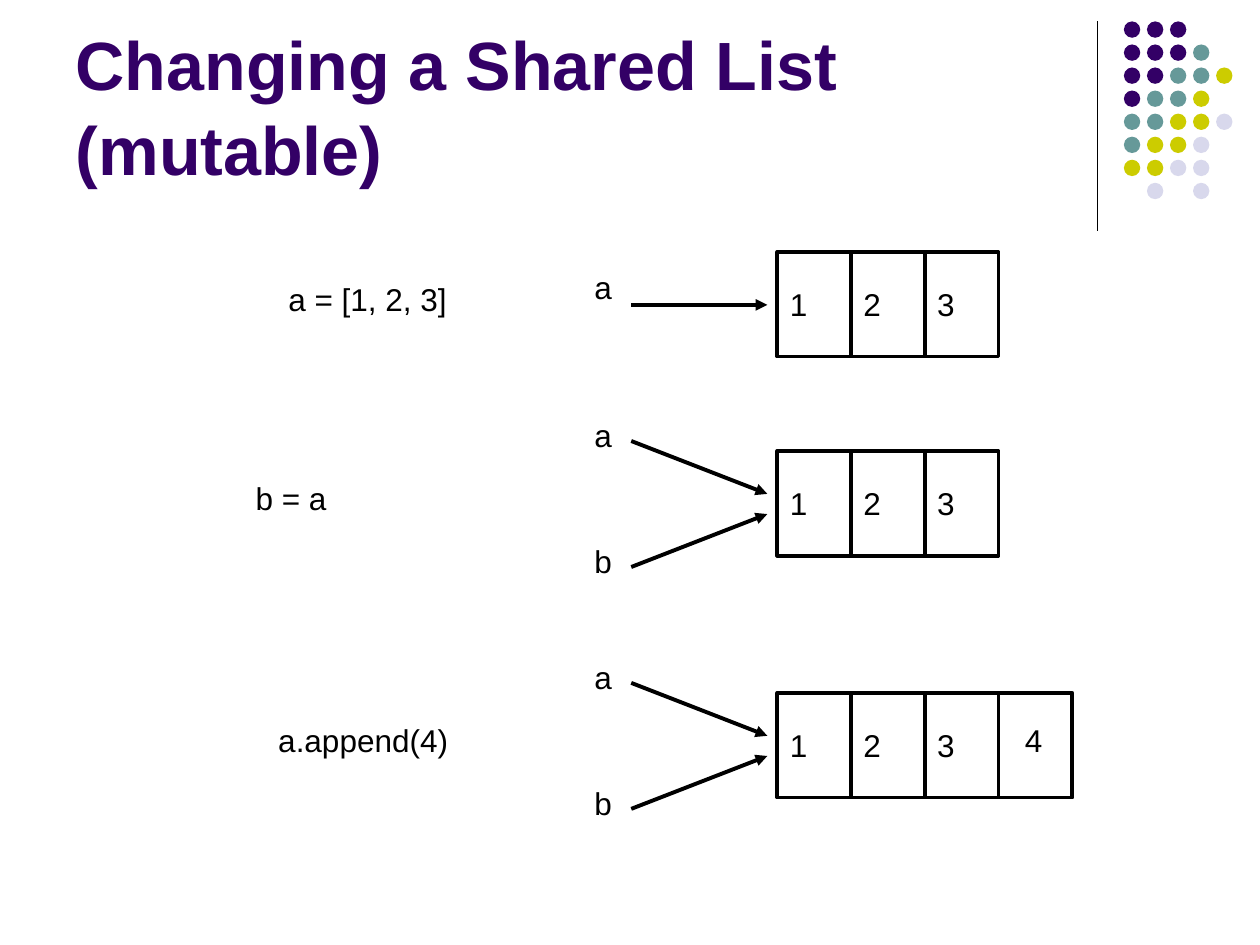
from lxml import etree
from pptx import Presentation
from pptx.dml.color import RGBColor
from pptx.enum.shapes import MSO_CONNECTOR, MSO_SHAPE
from pptx.enum.text import MSO_ANCHOR, MSO_AUTO_SIZE, PP_ALIGN
from pptx.oxml.ns import qn
from pptx.util import Inches, Pt

LINE = MSO_CONNECTOR.STRAIGHT
RECT, OVAL = MSO_SHAPE.RECTANGLE, MSO_SHAPE.OVAL
LEFT, MIDDLE, BOTTOM = PP_ALIGN.LEFT, MSO_ANCHOR.MIDDLE, MSO_ANCHOR.BOTTOM
FIXED = MSO_AUTO_SIZE.NONE

TITLE = "Changing a Shared List (mutable)"
INK, PLUM = "000000", "330066"

# One letter per dot, one string per row of the corner pattern
DOTS = ["PPP", "PPPT", "PPTTY", "PTTY", "TTYYL", "TYYL", "YYLL", " L L"]
HUES = {"P": PLUM, "T": "669999", "Y": "CCCC00", "L": "D8D8EC"}
DOT_X, DOT_Y, DOT_GAP, DOT = 8.92, 0.17, 0.183, 0.13

# Code, its left and width, top of the cells, names, values
STEPS = [
    ("a = [1, 2, 3]", 2.19, 1.46, 2.0, "a", "123"),
    ("b = a", 1.93, 0.76, 3.58, "ab", "123"),
    ("a.append(4)", 2.11, 1.55, 5.5, "ab", "1234"),
]
# Name top, arrow start and arrow end, measured from the top of the cells
LINKS = {
    "a": [(0.08, 0.42, 0.42)],
    "ab": [(-0.33, -0.08, 0.34), (0.67, 0.92, 0.5)],
}
CELL_X, CELL_W, CELL_H = 6.17, 0.585, 0.83
NAME_X, NAME_W, TEXT_H = 4.62, 0.34, 0.4
FROM_X, TO_X = 5.01, 6.09
CODE_DY = 0.17


def color(code):
    return RGBColor.from_string(code)


def write(frame, text, size=18, ink=INK, bold=False):
    para = frame.paragraphs[0]
    para.alignment = LEFT
    run = para.add_run()
    run.text = text
    font = run.font
    font.name, font.size, font.bold = "Arial", Pt(size), bold
    font.color.rgb = color(ink)
    return para


def label(slide, text, x, y, w):
    box = slide.shapes.add_textbox(Inches(x), Inches(y), Inches(w), Inches(TEXT_H))
    box.text_frame.word_wrap = False
    write(box.text_frame, text)


def line(slide, x1, y1, x2, y2, width, arrow=False):
    link = slide.shapes.add_connector(
        LINE, Inches(x1), Inches(y1), Inches(x2), Inches(y2))
    link.line.color.rgb = color(INK)
    link.line.width = Pt(width)
    props = link._element.spPr
    if arrow:
        etree.SubElement(props.find(qn("a:ln")), qn("a:tailEnd"), type="triangle")
    etree.SubElement(props, qn("a:effectLst"))


def shape(slide, kind, x, y, w, h):
    item = slide.shapes.add_shape(kind, Inches(x), Inches(y), Inches(w), Inches(h))
    item.shadow.inherit = False
    return item


def cell(slide, text, x, y):
    box = shape(slide, RECT, x, y, CELL_W, CELL_H)
    box.fill.background()
    box.line.color.rgb = color(INK)
    box.line.width = Pt(2.25)
    if text == "4":
        # The appended value sits in its own label, right of the cell's edge
        label(slide, text, x + 0.11, y + CODE_DY, NAME_W)
    else:
        box.text_frame.vertical_anchor = MIDDLE
        write(box.text_frame, text)


def corner(slide):
    line(slide, 8.71, 0.17, 8.71, 1.83, 0.75)
    for row, marks in enumerate(DOTS):
        for col, mark in enumerate(marks):
            if mark in HUES:
                dot = shape(slide, OVAL, DOT_X + col * DOT_GAP,
                            DOT_Y + row * DOT_GAP, DOT, DOT)
                dot.fill.solid()
                dot.fill.fore_color.rgb = color(HUES[mark])
                dot.line.fill.background()


def step(slide, code, x, w, top, names, values):
    label(slide, code, x, top + CODE_DY, w)
    for name, (dy, start, end) in zip(names, LINKS[names]):
        label(slide, name, NAME_X, top + dy, NAME_W)
        line(slide, FROM_X, top + start, TO_X, top + end, 2.25, arrow=True)
    for col, value in enumerate(values):
        cell(slide, value, CELL_X + col * CELL_W, top)


def main():
    deck = Presentation()
    deck.slide_width, deck.slide_height = Inches(10), Inches(7.5)
    slide = deck.slides.add_slide(deck.slide_layouts[5])

    head = slide.shapes.title
    head.left, head.top = Inches(0.5), Inches(0.13)
    head.width, head.height = Inches(8.25), Inches(1.42)
    frame = head.text_frame
    frame.word_wrap, frame.auto_size = True, FIXED
    frame.vertical_anchor = BOTTOM
    write(frame, TITLE, 39, PLUM, True).line_spacing = 1.04

    corner(slide)
    for row in STEPS:
        step(slide, *row)
    deck.save("out.pptx")


if __name__ == "__main__":
    main()
